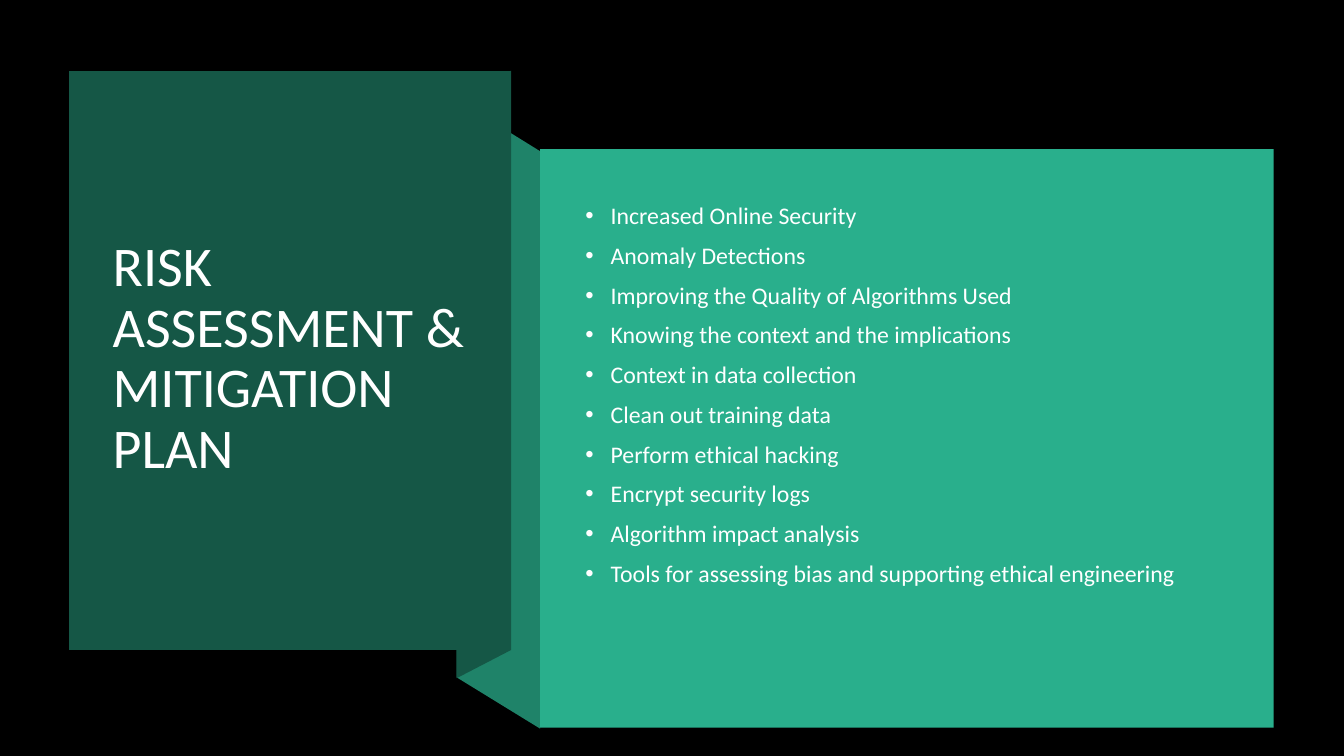
"""Builds the risk assessment and mitigation slide."""
from dataclasses import dataclass

import pptx
import pptx.dml.color
import pptx.enum.shapes
import pptx.enum.text
import pptx.util
from lxml import etree
from pptx.util import Cm, Pt

RGBColor = pptx.dml.color.RGBColor
BLACK = RGBColor(0x00, 0x00, 0x00)
WHITE = RGBColor(0xFF, 0xFF, 0xFF)
SOFT_WHITE = RGBColor(0xFE, 0xFF, 0xFF)
DARK_GREEN = RGBColor(0x15, 0x57, 0x46)
MID_GREEN = RGBColor(0x1F, 0x83, 0x69)
LIGHT_GREEN = RGBColor(0x29, 0xAF, 0x8C)

FOLD_LEFT, TITLE_LEFT, TITLE_RIGHT, PLAN_LEFT = 11.51, 1.75, 12.88, 13.61
TITLE_TOP, TITLE_BOTTOM = 1.78, 16.38


@dataclass(frozen=True)
class Panel:
    """A flat coloured outline with corners in centimetres."""
    corners: tuple[tuple[float, float], ...]
    color: RGBColor


@dataclass(frozen=True)
class Copy:
    """A block of text with its box in centimetres."""
    box: tuple[float, float, float, float]
    lines: tuple[str, ...]
    size: float
    color: RGBColor
    space_before: float = 0
    bottom_inset: float = 0.13
    bulleted: bool = False


RIBBON = (
    Panel(((PLAN_LEFT, 18.36), (FOLD_LEFT, 17.07), (FOLD_LEFT, 2.51),
           (PLAN_LEFT, 3.81)), MID_GREEN),
    Panel(((TITLE_RIGHT, TITLE_BOTTOM), (FOLD_LEFT, 17.09), (FOLD_LEFT, 2.49),
           (TITLE_RIGHT, TITLE_TOP)), DARK_GREEN),
    Panel(((TITLE_LEFT, TITLE_TOP), (TITLE_RIGHT, TITLE_TOP),
           (TITLE_RIGHT, TITLE_BOTTOM), (TITLE_LEFT, TITLE_BOTTOM)), DARK_GREEN),
)
HEADING = Copy((2.59, 2.72, 9.42, 12.67),
               ("RISK ASSESSMENT & MITIGATION PLAN",), 40, WHITE)
MEASURES = Copy((14.5, 4.78, 16.54, 12.04), (
    "Increased Online Security",
    "Anomaly Detections",
    "Improving the Quality of Algorithms Used",
    "Knowing the context and the implications",
    "Context in data collection",
    "Clean out training data",
    "Perform ethical hacking",
    "Encrypt security logs",
    "Algorithm impact analysis",
    "Tools for assessing bias and supporting ethical engineering",
), 17, SOFT_WHITE, space_before=10, bottom_inset=1.78, bulleted=True)


def apply_format(target: object, values: dict[str, object]) -> None:
    """Set each named attribute on the target."""
    for key, value in values.items():
        setattr(target, key, value)


def paint(shape, color: RGBColor) -> None:
    """Give a shape a plain fill without line or shadow."""
    shape.shadow.inherit = False
    shape.fill.solid()
    shape.fill.fore_color.rgb = color
    shape.line.fill.background()


def draw_panel(slide, panel: Panel) -> None:
    """Draw a closed outline."""
    start, *rest = [(Cm(x), Cm(y)) for x, y in panel.corners]
    builder = slide.shapes.build_freeform(*start)
    builder.add_line_segments(rest, close=True)
    paint(builder.convert_to_shape(), panel.color)


def add_bullet(paragraph) -> None:
    """Give a paragraph a hanging round bullet."""
    properties = paragraph._p.get_or_add_pPr()
    properties.set("marL", str(Cm(0.64)))
    properties.set("indent", str(-Cm(0.64)))
    namespace = properties.nsmap["a"]
    etree.SubElement(properties, f"{{{namespace}}}buFont", typeface="Arial")
    etree.SubElement(properties, f"{{{namespace}}}buChar", char="•")


def write_copy(slide, copy: Copy) -> None:
    """Write a vertically centred block of text."""
    frame = slide.shapes.add_textbox(*map(Cm, copy.box)).text_frame
    apply_format(frame, {
        "word_wrap": True,
        "vertical_anchor": pptx.enum.text.MSO_ANCHOR.MIDDLE,
        "margin_bottom": Cm(copy.bottom_inset),
        "text": "\n".join(copy.lines),
    })
    for paragraph in frame.paragraphs:
        apply_format(paragraph, {"line_spacing": 0.9,
                                 "space_before": Pt(copy.space_before)})
        for run in paragraph.runs:
            apply_format(run.font, {"name": "Calibri", "size": Pt(copy.size)})
            run.font.color.rgb = copy.color
        if copy.bulleted:
            add_bullet(paragraph)


def main() -> None:
    """Build and save the slide."""
    deck = pptx.Presentation()
    apply_format(deck, {"slide_width": Cm(33.87), "slide_height": Cm(19.05)})
    slide = deck.slides.add_slide(deck.slide_layouts[6])
    slide.background.fill.solid()
    slide.background.fill.fore_color.rgb = BLACK
    for panel in RIBBON:
        draw_panel(slide, panel)
    write_copy(slide, HEADING)
    plan = slide.shapes.add_shape(
        pptx.enum.shapes.MSO_SHAPE.RECTANGLE,
        Cm(PLAN_LEFT), Cm(3.76), Cm(18.49), Cm(14.58))
    paint(plan, LIGHT_GREEN)
    write_copy(slide, MEASURES)
    deck.save("out.pptx")


main()
